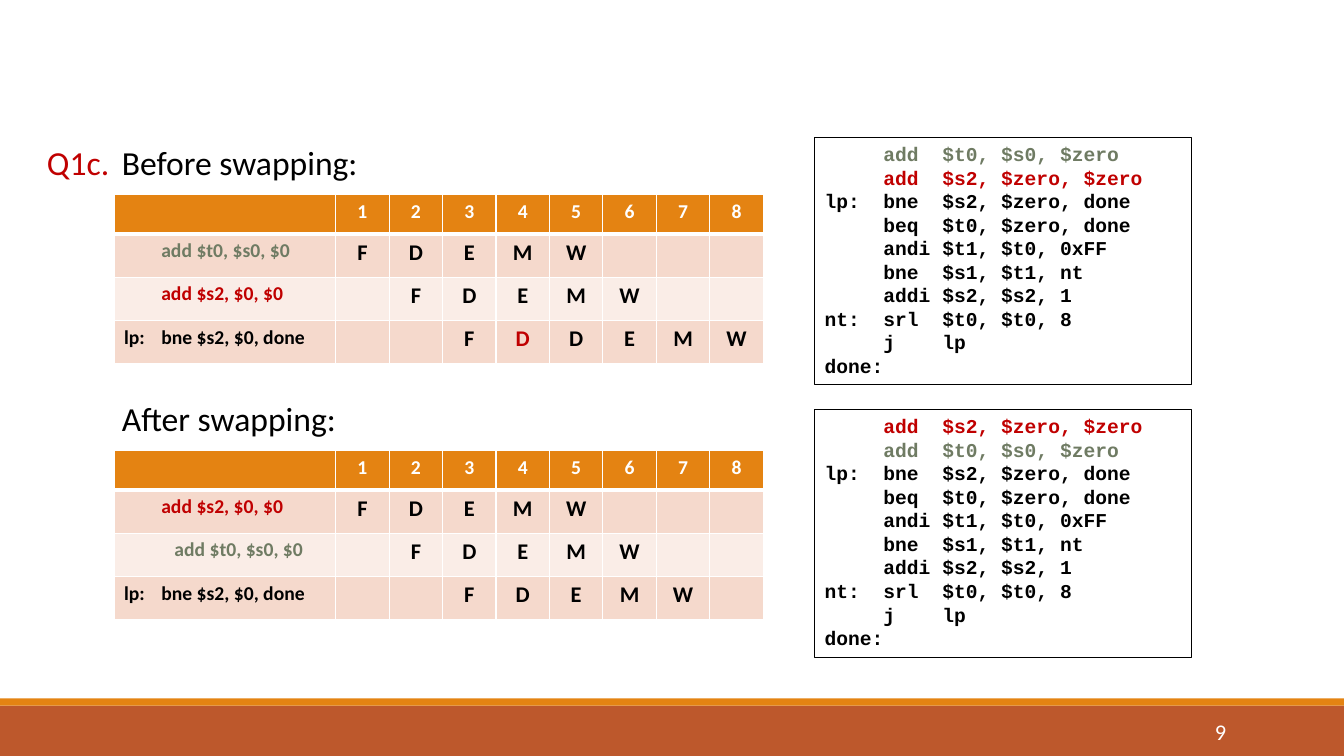
from lxml import etree
from pptx import Presentation
from pptx.dml.color import RGBColor
from pptx.enum.shapes import MSO_SHAPE
from pptx.enum.text import MSO_ANCHOR, PP_ALIGN
from pptx.oxml.ns import qn
from pptx.util import Inches, Pt

RECTANGLE = MSO_SHAPE.RECTANGLE
TOP, MIDDLE = MSO_ANCHOR.TOP, MSO_ANCHOR.MIDDLE
LEFT, CENTER, RIGHT = PP_ALIGN.LEFT, PP_ALIGN.CENTER, PP_ALIGN.RIGHT

BLACK = RGBColor(0x00, 0x00, 0x00)
WHITE = RGBColor(0xFF, 0xFF, 0xFF)
RED = RGBColor(0xC0, 0x00, 0x00)
GREEN = RGBColor(0x6F, 0x7B, 0x63)
ORANGE = RGBColor(0xE4, 0x83, 0x12)
RUST = RGBColor(0xBD, 0x58, 0x2C)
BAND_DARK = RGBColor(0xF5, 0xD9, 0xCC)
BAND_LIGHT = RGBColor(0xFA, 0xED, 0xE7)

TEXT_FONT, CODE_FONT = "Calibri", "Courier New"
CYCLES = 8
LABEL_WIDTH, CYCLE_WIDTH = 2.2, 0.53
HEADER_HEIGHT, ROW_HEIGHT = 0.39, 0.43
LABEL_TAB = 0.37

ADD_T0 = ("     add  $t0, $s0, $zero", GREEN)
ADD_S2 = ("     add  $s2, $zero, $zero", RED)
LOOP_CODE = [
    "lp:  bne  $s2, $zero, done",
    "     beq  $t0, $zero, done",
    "     andi $t1, $t0, 0xFF",
    "     bne  $s1, $t1, nt",
    "     addi $s2, $s2, 1",
    "nt:  srl  $t0, $t0, 8",
    "     j    lp",
    "done:",
]

# label, label colour, tab stop, stages, first cycle, stalled cycle
BEFORE_ROWS = [
    ("\tadd $t0, $s0, $0", GREEN, LABEL_TAB, "FDEMW", 1, None),
    ("\tadd $s2, $0, $0", RED, LABEL_TAB, "FDEMW", 2, None),
    ("lp:\tbne $s2, $0, done", BLACK, LABEL_TAB, "FDDEMW", 3, 4),
]
AFTER_ROWS = [
    ("\tadd $s2, $0, $0", RED, LABEL_TAB, "FDEMW", 1, None),
    ("\tadd $t0, $s0, $0", GREEN, None, "FDEMW", 2, None),
    ("lp:\tbne $s2, $0, done", BLACK, LABEL_TAB, "FDEMW", 3, None),
]


def add_run(paragraph, text, size, color, font=TEXT_FONT, bold=False):
    run = paragraph.add_run()
    run.text = text
    run.font.name = font
    run.font.size = Pt(size)
    run.font.bold = bold
    run.font.color.rgb = color


def add_rectangle(slide, left, top, width, height):
    shape = slide.shapes.add_shape(
        RECTANGLE, Inches(left), Inches(top), Inches(width), Inches(height))
    shape.shadow.inherit = False
    return shape


def add_label(slide, left, top, width, height, text, size, color, align=LEFT, anchor=TOP):
    box = slide.shapes.add_textbox(Inches(left), Inches(top), Inches(width), Inches(height))
    frame = box.text_frame
    frame.word_wrap = True
    frame.vertical_anchor = anchor
    paragraph = frame.paragraphs[0]
    paragraph.alignment = align
    add_run(paragraph, text, size, color)


def style_cell(cell, fill, top_width, bottom_width):
    properties = cell._tc.get_or_add_tcPr()
    for side, width in (("L", 1), ("R", 1), ("T", top_width), ("B", bottom_width)):
        line = etree.SubElement(properties, qn(f"a:ln{side}"), w=str(Pt(width)))
        solid = etree.SubElement(line, qn("a:solidFill"))
        etree.SubElement(solid, qn("a:srgbClr"), val=str(WHITE))
    cell.fill.solid()
    cell.fill.fore_color.rgb = fill


def write_cell(cell, text, size, color, align=CENTER, tab=None):
    paragraph = cell.text_frame.paragraphs[0]
    paragraph.alignment = align
    if tab:
        tabs = etree.SubElement(paragraph._p.get_or_add_pPr(), qn("a:tabLst"))
        etree.SubElement(tabs, qn("a:tab"), pos=str(Inches(tab)), algn="l")
    if text:
        add_run(paragraph, text, size, color, bold=True)
    else:
        etree.SubElement(paragraph._p, qn("a:endParaRPr"), sz=str(size * 100))


def add_pipeline_table(slide, left, top, rows):
    width = LABEL_WIDTH + CYCLES * CYCLE_WIDTH
    height = HEADER_HEIGHT + len(rows) * ROW_HEIGHT
    table = slide.shapes.add_table(
        len(rows) + 1, CYCLES + 1,
        Inches(left), Inches(top), Inches(width), Inches(height)).table
    for index, column in enumerate(table.columns):
        column.width = Inches(CYCLE_WIDTH if index else LABEL_WIDTH)
    for index, row in enumerate(table.rows):
        row.height = Inches(ROW_HEIGHT if index else HEADER_HEIGHT)

    for cycle in range(CYCLES + 1):
        cell = table.cell(0, cycle)
        style_cell(cell, ORANGE, 1, 3)
        write_cell(cell, str(cycle) if cycle else "", 14, WHITE)

    for number, (label, color, tab, stages, start, stall) in enumerate(rows, 1):
        fill = BAND_DARK if number % 2 else BAND_LIGHT
        for cycle in range(CYCLES + 1):
            style_cell(table.cell(number, cycle), fill, 3 if number == 1 else 1, 1)
        write_cell(table.cell(number, 0), label, 14, color, LEFT, tab)
        for cycle in range(1, CYCLES + 1):
            step = cycle - start
            stage = stages[step] if 0 <= step < len(stages) else ""
            write_cell(table.cell(number, cycle), stage, 16, RED if cycle == stall else BLACK)


def add_code_box(slide, left, top, first_lines):
    box = add_rectangle(slide, left, top, 3.74, 2.46)
    box.fill.background()
    box.line.color.rgb = BLACK
    box.line.width = Pt(0.75)
    frame = box.text_frame
    frame.word_wrap = True
    frame.vertical_anchor = TOP
    lines = first_lines + [(text, BLACK) for text in LOOP_CODE]
    for index, (text, color) in enumerate(lines):
        paragraph = frame.add_paragraph() if index else frame.paragraphs[0]
        paragraph.alignment = LEFT
        add_run(paragraph, text, 14, color, CODE_FONT, True)


def add_footer(slide, top, width):
    for offset, height, color in ((0.07, 0.5, RUST), (0, 0.07, ORANGE)):
        band = add_rectangle(slide, 0, top + offset, width, height)
        band.fill.solid()
        band.fill.fore_color.rgb = color
        band.line.fill.background()
    add_label(slide, 10.83, top + 0.13, 1.43, 0.4, "9", 16, WHITE, RIGHT, MIDDLE)


def add_swap_section(slide, top, table_top, title, rows, code_top, first_lines):
    add_label(slide, 1.11, top, 4.52, 0.5, title, 24, BLACK)
    add_pipeline_table(slide, 1.13, table_top, rows)
    add_code_box(slide, 8.08, code_top, first_lines)


def main():
    presentation = Presentation()
    presentation.slide_width = Inches(13.33)
    presentation.slide_height = Inches(7.5)
    slide = presentation.slides.add_slide(presentation.slide_layouts[6])
    add_footer(slide, 6.93, 13.33)
    add_label(slide, 0.28, 1.36, 0.99, 0.5, "Q1c.", 24, RED, CENTER)
    add_swap_section(slide, 1.36, 1.93, "Before swapping:", BEFORE_ROWS, 1.36, [ADD_T0, ADD_S2])
    add_swap_section(slide, 3.9, 4.47, "After swapping:", AFTER_ROWS, 4.06, [ADD_S2, ADD_T0])
    presentation.save("out.pptx")


if __name__ == "__main__":
    main()
